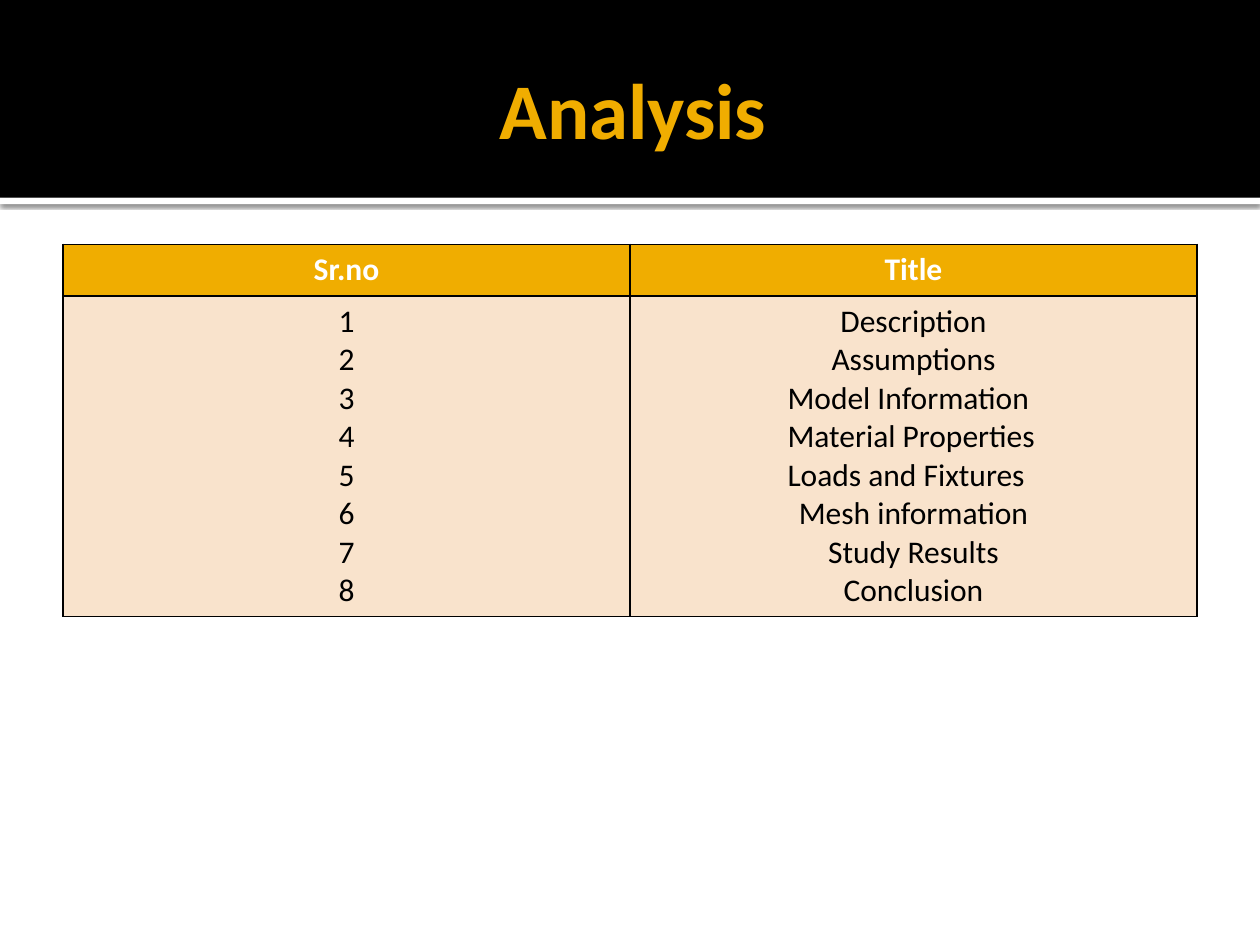
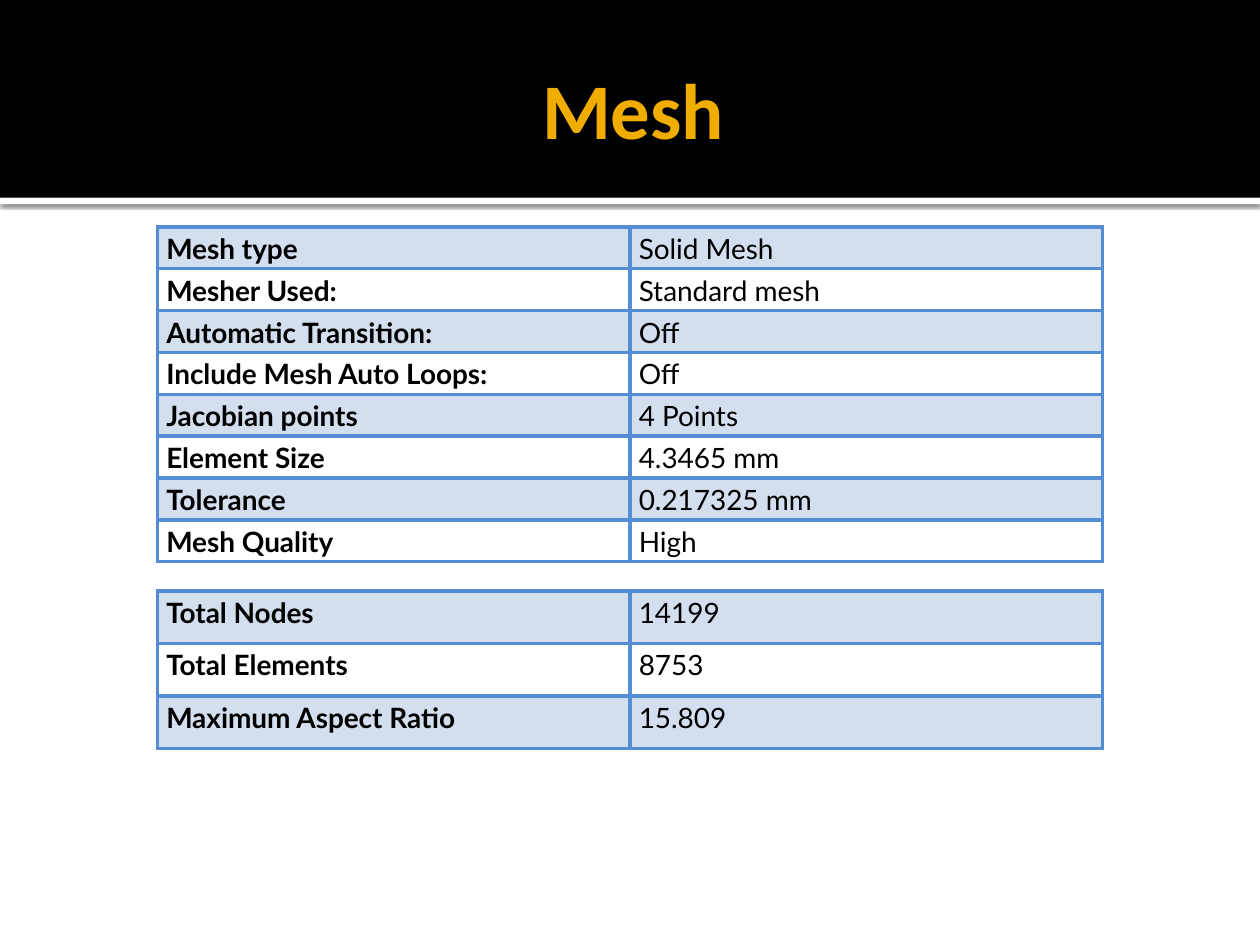
from lxml.etree import SubElement
from pptx import Presentation
from pptx.dml.color import RGBColor
from pptx.enum.shapes import MSO_SHAPE
from pptx.enum.text import MSO_ANCHOR, MSO_AUTO_SIZE, PP_ALIGN
from pptx.oxml import parse_xml
from pptx.oxml.ns import nsdecls, qn
from pptx.util import Inches, Pt

BLACK = RGBColor(0x00, 0x00, 0x00)
WHITE = RGBColor(0xFF, 0xFF, 0xFF)
GOLD = RGBColor(0xF0, 0xAD, 0x00)
PEACH = RGBColor(0xF9, 0xE3, 0xCC)
BLUE = RGBColor(0x54, 0x8D, 0xD4)
PALE = RGBColor(0xD3, 0xDF, 0xEE)

TOPICS = [
    "Description", "Assumptions", "Model Information\t",
    "Material Properties\t", "Loads and Fixtures\t", "Mesh information",
    "Study Results", "Conclusion",
]
SETUP = [
    ("Mesh type", "Solid Mesh"),
    ("Mesher Used:", "Standard mesh"),
    ("Automatic Transition:", "Off"),
    ("Include Mesh Auto Loops:", "Off"),
    ("Jacobian points", "4 Points"),
    ("Element Size", "4.3465 mm"),
    ("Tolerance", "0.217325 mm"),
    ("Mesh Quality", "High"),
]
COUNTS = [
    ("Total Nodes", "14199"),
    ("Total Elements", "8753"),
    ("Maximum Aspect Ratio", "15.809"),
]


def write(frame, text, size=18, font="Calibri", color=BLACK, bold=False,
          align=PP_ALIGN.LEFT, space=None):
    for i, line in enumerate(text.split("\n")):
        para = frame.add_paragraph() if i else frame.paragraphs[0]
        para.alignment = align
        para.line_spacing = space
        run = para.add_run()
        run.text = line
        run.font.size = Pt(size)
        run.font.name = font
        run.font.bold = bold
        run.font.color.rgb = color


def add_band(slide, top, height, color):
    band = slide.shapes.add_shape(
        MSO_SHAPE.RECTANGLE, 0, Inches(top), Inches(10), Inches(height))
    band.shadow.inherit = False
    band.fill.solid()
    band.fill.fore_color.rgb = color
    band.line.fill.background()
    slide.shapes.title.element.addprevious(band.element)
    return band


def add_shade(shape):
    effects = shape.element.spPr.find(qn("a:effectLst"))
    shade = SubElement(effects, qn("a:outerShdw"), blurRad=str(Pt(2.5)),
                       dist=str(Pt(0.8)), dir="5400000", algn="tl",
                       rotWithShape="0")
    tint = SubElement(shade, qn("a:srgbClr"), val=str(BLACK))
    SubElement(tint, qn("a:alpha"), val="60000")


def add_page(deck, title):
    slide = deck.slides.add_slide(deck.slide_layouts[5])
    add_shade(add_band(slide, 1.57, 0.05, WHITE))
    add_band(slide, 0, 1.57, BLACK)
    head = slide.shapes.title
    head.left, head.top = Inches(0.5), Inches(0.17)
    head.width, head.height = Inches(9), Inches(1.37)
    frame = head.text_frame
    frame.auto_size = MSO_AUTO_SIZE.NONE
    frame.vertical_anchor = MSO_ANCHOR.MIDDLE
    frame.margin_left = Inches(0.1)
    frame.margin_right = Inches(0.05)
    write(frame, title, size=45, color=GOLD, bold=True, align=PP_ALIGN.CENTER)
    return slide


def set_edge(cell, color, width):
    props = cell._tc.get_or_add_tcPr()
    for i, side in enumerate("LRTB"):
        props.insert(i, parse_xml(
            f'<a:ln{side} {nsdecls("a")} w="{Pt(width)}"><a:solidFill>'
            f'<a:srgbClr val="{color}"/></a:solidFill></a:ln{side}>'))


def add_grid(slide, box, rows, heights, edge, width, paint):
    left, top, wide = box
    table = slide.shapes.add_table(
        len(rows), 2, Inches(left), Inches(top), Inches(wide),
        Inches(sum(heights))).table
    table.first_row = table.horz_banding = False
    for col in table.columns:
        col.width = Inches(wide / 2)
    for r, (texts, height) in enumerate(zip(rows, heights)):
        table.rows[r].height = Inches(height)
        for c, text in enumerate(texts):
            cell = table.cell(r, c)
            paint(cell, text, r, c)
            set_edge(cell, edge, width)


def fill_cell(cell, color):
    cell.fill.solid()
    cell.fill.fore_color.rgb = color


def paint_topic(cell, text, row, col):
    head = row == 0
    fill_cell(cell, GOLD if head else PEACH)
    write(cell.text_frame, text, color=WHITE if head else BLACK,
          bold=head, align=PP_ALIGN.CENTER)


def paint_fact(cell, text, row, col):
    if row % 2:
        cell.fill.background()
    else:
        fill_cell(cell, PALE)
    cell.margin_left = cell.margin_right = Inches(0.07)
    cell.margin_top = cell.margin_bottom = 0
    write(cell.text_frame, text, size=16, font="Lato", bold=col == 0,
          space=1.15)


def add_topics(deck):
    slide = add_page(deck, "Analysis")
    nums = "\n".join(str(n + 1) for n in range(len(TOPICS)))
    rows = [("Sr.no", "Title"), (nums, "\n".join(TOPICS))]
    add_grid(slide, (0.5, 1.94, 9), rows, [0.41, 2.5], BLACK, 1, paint_topic)


def add_mesh(deck):
    slide = add_page(deck, "Mesh")
    for top, rows, total in ((1.8, SETUP, 2.66), (4.69, COUNTS, 1.25)):
        heights = [total / len(rows)] * len(rows)
        add_grid(slide, (1.25, top, 7.5), rows, heights, BLUE, 2.25,
                 paint_fact)


def main():
    deck = Presentation()
    deck.slide_width, deck.slide_height = Inches(10), Inches(7.5)
    add_topics(deck)
    add_mesh(deck)
    deck.save("out.pptx")


if __name__ == "__main__":
    main()
